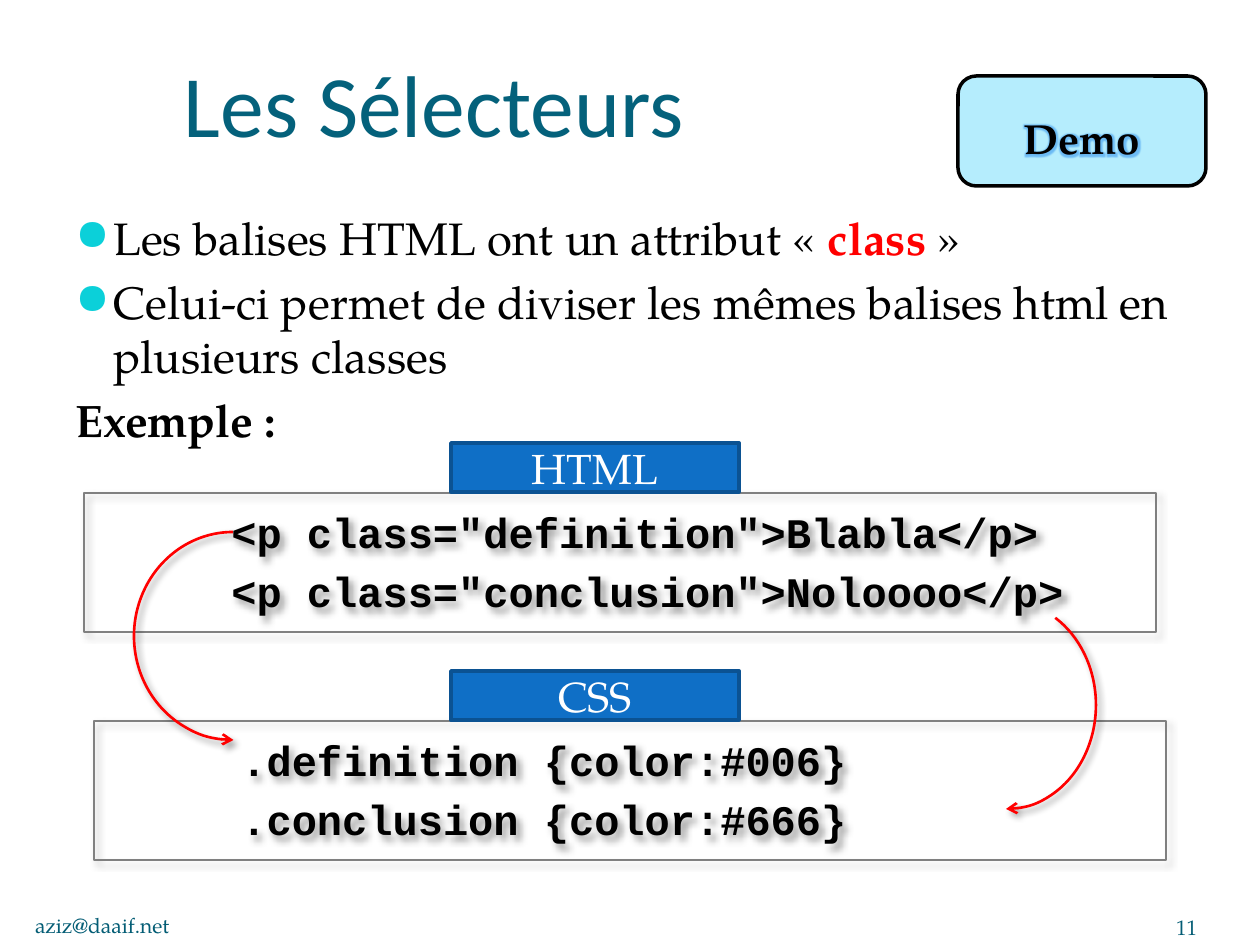
from dataclasses import dataclass

from lxml.etree import SubElement
from pptx import Presentation
from pptx.dml.color import RGBColor
from pptx.enum.shapes import MSO_SHAPE
from pptx.enum.text import MSO_ANCHOR, PP_ALIGN
from pptx.oxml.ns import qn
from pptx.util import Emu, Pt


@dataclass(frozen=True)
class Theme:
    """Fonts, colours and type sizes of the slide."""
    heading_font: str = "Calibri"
    body_font: str = "TeX Gyre Pagella"
    code_font: str = "Courier New"
    title_color: str = "04617B"
    footer_color: str = "045D75"
    text_color: str = "000000"
    accent_color: str = "FF0000"
    bullet_color: str = "0BD0D9"
    frame_color: str = "808080"
    label_fill: str = "0F6FC6"
    label_line: str = "0B5292"
    label_text: str = "FFFFFF"
    demo_fill: str = "B5EDFD"
    glow_color: str = "3D9BF0"
    title_size: int = 50
    body_size: int = 26
    code_size: int = 24
    footer_size: int = 12


THEME = Theme()


def px(length):
    """Turn pixels into EMU."""
    return Emu(round(length * 914400 / 126))


def add_element(parent, tag, **attributes):
    """Append a DrawingML element."""
    element = SubElement(parent, qn(tag))
    for name, value in attributes.items():
        element.set(name, str(value))
    return element


def add_effect_color(effect, color, opacity):
    """Give an effect a colour with an opacity in percent."""
    tone = add_element(effect, "a:srgbClr", val=color)
    add_element(tone, "a:alpha", val=opacity * 1000)


def format_font(font, name, size, color, bold=False):
    """Set the face, size, colour and weight of a font."""
    font.name = name
    font.size = Pt(size)
    font.bold = bold
    font.color.rgb = RGBColor.from_string(color)


def format_runs(paragraph, name, size, color, bold=False):
    """Format every run of a paragraph alike."""
    for run in paragraph.runs:
        format_font(run.font, name, size, color, bold)


def set_indent(paragraph, margin, indent):
    """Set the left margin and first-line indent in pixels."""
    properties = paragraph._p.get_or_add_pPr()
    properties.set("marL", str(px(margin)))
    properties.set("indent", str(px(indent)))
    return properties


def add_bullet(properties):
    """Add a round coloured bullet to paragraph properties."""
    color = add_element(properties, "a:buClr")
    add_element(color, "a:srgbClr", val=THEME.bullet_color)
    add_element(properties, "a:buSzPct", val=95000)
    add_element(properties, "a:buChar", char="●")


def add_text(slide, box, text, name, size, color, align=PP_ALIGN.LEFT):
    """Add a bottom-anchored line of text without side insets."""
    shape = slide.shapes.add_textbox(*map(px, box))
    frame = shape.text_frame
    frame.word_wrap = True
    frame.vertical_anchor = MSO_ANCHOR.BOTTOM
    frame.margin_left = frame.margin_right = frame.margin_top = frame.margin_bottom = 0
    frame.text = text
    frame.paragraphs[0].alignment = align
    format_runs(frame.paragraphs[0], name, size, color)


def add_body(slide, box, items):
    """Add the body from pairs of bullet flag and (text, colour, bold) runs."""
    frame = slide.shapes.add_textbox(*map(px, box)).text_frame
    frame.word_wrap = True
    for index, (bulleted, runs) in enumerate(items):
        paragraph = frame.paragraphs[0] if index == 0 else frame.add_paragraph()
        if index:
            paragraph.space_before = Pt(THEME.body_size * 0.2)
        properties = set_indent(paragraph, 38, -38)
        if bulleted:
            add_bullet(properties)
        for text, color, bold in runs:
            run = paragraph.add_run()
            run.text = text
            format_font(run.font, THEME.body_font, THEME.body_size, color, bold)


def add_shape(slide, kind, box, line, width, fill=None):
    """Add an outlined preset shape with an optional fill."""
    shape = slide.shapes.add_shape(kind, *map(px, box))
    shape.shadow.inherit = False
    shape.line.color.rgb = RGBColor.from_string(line)
    shape.line.width = Pt(width)
    if fill:
        shape.fill.solid()
        shape.fill.fore_color.rgb = RGBColor.from_string(fill)
    else:
        shape.fill.background()
    return shape


def add_shadow(shape):
    """Give a shape a soft shadow to the lower right."""
    effects = shape.element.spPr.find(qn("a:effectLst"))
    shadow = add_element(effects, "a:outerShdw", blurRad=Pt(4), dist=Pt(3),
                         dir=45 * 60000, algn="tl", rotWithShape=0)
    add_effect_color(shadow, THEME.text_color, 40)


def add_code(slide, box, lines):
    """Add a framed block of code lines."""
    shape = add_shape(slide, MSO_SHAPE.RECTANGLE, box, THEME.frame_color, 0.75)
    add_shadow(shape)
    frame = shape.text_frame
    frame.vertical_anchor = MSO_ANCHOR.TOP
    frame.margin_top = px(14)
    frame.text = "\n".join(lines)
    for index, paragraph in enumerate(frame.paragraphs):
        paragraph.alignment = PP_ALIGN.LEFT
        set_indent(paragraph, 164, -29)
        if index:
            paragraph.space_before = Pt(THEME.code_size * 0.2)
        format_runs(paragraph, THEME.code_font, THEME.code_size, THEME.text_color, True)


def add_label(slide, box, text):
    """Add the coloured heading of a code block."""
    shape = add_shape(slide, MSO_SHAPE.RECTANGLE, box, THEME.label_line, 2, THEME.label_fill)
    frame = shape.text_frame
    frame.vertical_anchor = MSO_ANCHOR.MIDDLE
    frame.text = text
    frame.paragraphs[0].alignment = PP_ALIGN.CENTER
    format_runs(frame.paragraphs[0], THEME.body_font, THEME.code_size, THEME.label_text)


def add_arc_arrow(slide, box, start, end, flipped=False):
    """Add a curved arrow between two angles in degrees."""
    shape = add_shape(slide, MSO_SHAPE.ARC, box, THEME.accent_color, 1.5)
    shape.adjustments[0] = start * 0.6
    shape.adjustments[1] = end * 0.6
    add_shadow(shape)
    properties = shape.element.spPr
    if flipped:
        properties.find(qn("a:xfrm")).set("flipH", "1")
    add_element(properties.find(qn("a:ln")), "a:tailEnd", type="arrow")


def add_demo(slide, box):
    """Add the rounded badge with glowing text."""
    shape = add_shape(slide, MSO_SHAPE.ROUNDED_RECTANGLE, box, THEME.text_color, 2, THEME.demo_fill)
    frame = shape.text_frame
    frame.vertical_anchor = MSO_ANCHOR.TOP
    frame.text = "Demo"
    paragraph = frame.paragraphs[0]
    paragraph.alignment = PP_ALIGN.CENTER
    paragraph.line_spacing = 1.5
    format_runs(paragraph, THEME.body_font, THEME.code_size, THEME.text_color, True)
    properties = paragraph.runs[0].font._element
    effects = add_element(properties, "a:effectLst")
    properties.find(qn("a:solidFill")).addnext(effects)
    add_effect_color(add_element(effects, "a:glow", rad=Pt(5)), THEME.glow_color, 60)


def main():
    """Build the slide on CSS class selectors."""
    presentation = Presentation()
    presentation.slide_width, presentation.slide_height = px(1260), px(945)
    slide = presentation.slides.add_slide(presentation.slide_layouts[6])
    black = THEME.text_color
    add_text(slide, (184, 0, 1013, 155), "Les Sélecteurs",
             THEME.heading_font, THEME.title_size, THEME.title_color)
    add_body(slide, (63, 204, 1134, 635), [
        (True, [("Les balises HTML ont un attribut « ", black, False),
                ("class", THEME.accent_color, True), (" »", black, False)]),
        (True, [("Celui-ci permet de diviser les mêmes balises html en plusieurs classes", black, False)]),
        (False, [("Exemple :", black, True)]),
    ])
    blocks = [
        ("HTML", 84, 493, ['<p class="definition">Blabla</p>', '<p class="conclusion">Noloooo</p>']),
        ("CSS", 94, 721, [".definition {color:#006}", ".conclusion {color:#666}"]),
    ]
    for label, left, top, lines in blocks:
        add_code(slide, (left, top, 1072, 139), lines)
        add_label(slide, (451, top - 50, 288, 49), label)
    add_arc_arrow(slide, (917, 601, 179, 208), 299.26, 90.25)
    add_arc_arrow(slide, (134, 532, 198, 208), 270, 90.29, flipped=True)
    add_text(slide, (1092, 890, 105, 50), "11", THEME.body_font, THEME.footer_size,
             THEME.footer_color, PP_ALIGN.RIGHT)
    add_text(slide, (35, 888, 462, 50), "aziz@daaif.net", THEME.body_font,
             THEME.footer_size, THEME.footer_color)
    add_demo(slide, (958, 76, 248, 110))
    presentation.save("out.pptx")


if __name__ == "__main__":
    main()
